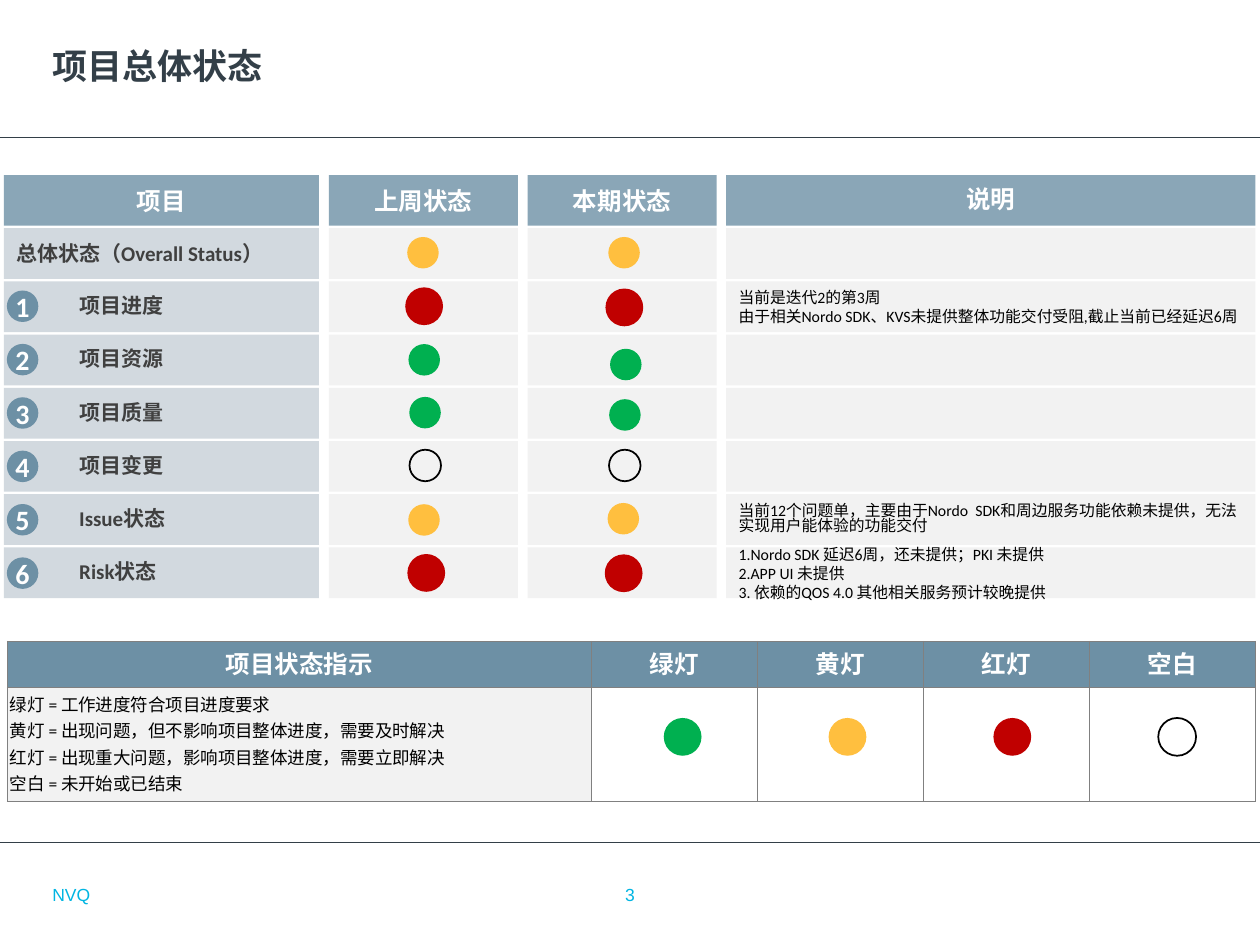
from pptx import Presentation
from pptx.dml.color import RGBColor
from pptx.enum.shapes import MSO_CONNECTOR, MSO_SHAPE as SHAPE
from pptx.enum.text import MSO_ANCHOR, PP_ALIGN as ALIGN
from pptx.oxml import parse_xml
from pptx.oxml.ns import nsdecls
from pptx.util import Pt

STEEL = RGBColor(0x6D, 0x90, 0xA5)
PALE_STEEL = RGBColor(0xD2, 0xD9, 0xDF)
PALE_GRAY = RGBColor(0xF2, 0xF2, 0xF2)
SLATE = RGBColor(0x33, 0x3F, 0x48)
DARK_GRAY = RGBColor(0x40, 0x40, 0x40)
CYAN = RGBColor(0x00, 0xB5, 0xE2)
WHITE = RGBColor(0xFF, 0xFF, 0xFF)
BLACK = RGBColor(0x00, 0x00, 0x00)
GREEN = RGBColor(0x00, 0xB0, 0x50)
YELLOW = RGBColor(0xFF, 0xBF, 0x3F)
RED = RGBColor(0xC0, 0x00, 0x00)

deck = Presentation()
deck.slide_width, deck.slide_height = Pt(720), Pt(540)
slide = deck.slides.add_slide(deck.slide_layouts[6])
shapes = slide.shapes


def add_block(kind, left, top, width, height, fill, outline=None):
    block = shapes.add_shape(kind, Pt(left), Pt(top), Pt(width), Pt(height))
    block.shadow.inherit = False
    if kind == SHAPE.ROUNDED_RECTANGLE:
        block.adjustments[0] = 0
    if fill is None:
        block.fill.background()
    else:
        block.fill.solid()
        block.fill.fore_color.rgb = fill
    if outline is None:
        block.line.fill.background()
    else:
        block.line.color.rgb = outline
        block.line.width = Pt(1)
    return block


def write(frame, lines, size, color, bold=False, align=ALIGN.LEFT,
          font="Calibri", spacing=None, before=None):
    frame.word_wrap = True
    frame.vertical_anchor = MSO_ANCHOR.MIDDLE
    for i, line in enumerate(lines):
        paragraph = frame.add_paragraph() if i else frame.paragraphs[0]
        paragraph.alignment = align
        if spacing:
            paragraph.line_spacing = spacing
        if before:
            paragraph.space_before = Pt(before)
        run = paragraph.add_run()
        run.text = line
        run.font.size = Pt(size)
        run.font.name = font
        run.font.bold = bold
        run.font.color.rgb = color


for rule_y in (78.3, 481.5):
    rule = shapes.add_connector(MSO_CONNECTOR.STRAIGHT, 0, Pt(rule_y), Pt(720), Pt(rule_y))
    rule.line.color.rgb = SLATE
    rule.line.width = Pt(0.25)
    rule._element.spPr.append(parse_xml(f"<a:effectLst {nsdecls('a')}/>"))

for words, left, top, width, height, size, color, bold, align in (
    ("项目总体状态", 29.8, 15.3, 576, 44.6, 20, SLATE, True, ALIGN.LEFT),
    ("NVQ", 30, 500, 221, 22.5, 10, CYAN, False, ALIGN.LEFT),
    ("3", 276, 500, 168, 22.5, 10, CYAN, False, ALIGN.CENTER),
):
    frame = shapes.add_textbox(Pt(left), Pt(top), Pt(width), Pt(height)).text_frame
    frame.margin_left = frame.margin_right = frame.margin_top = frame.margin_bottom = 0
    write(frame, [words], size, color, bold, align, "Arial")

HEADER_TOP, ROW_PITCH, ROW_HEIGHT = 100, 30.4, 29
columns = [("项目", 2.2, 180), ("上周状态", 188, 108),
           ("本期状态", 301.5, 108), ("说明", 415, 302.4)]
for heading, left, width in columns:
    header = add_block(SHAPE.RECTANGLE, left, HEADER_TOP, width, ROW_HEIGHT, STEEL)
    tint = header._element.spPr.find(".//" + "{http://schemas.openxmlformats.org/drawingml/2006/main}srgbClr")
    tint.append(parse_xml(f'<a:alpha {nsdecls("a")} val="80000"/>'))
    compact = heading == "说明"
    write(header.text_frame, [heading], 14, WHITE, True, ALIGN.CENTER,
          spacing=0.9 if compact else None, before=2.8 if compact else None)

status_rows = [
    ("总体状态（Overall Status）", YELLOW, (241.7, 144.4), (356.6, 144.4), []),
    ("项目进度", RED, (242.4, 175), (356.8, 175.7),
     ["当前是迭代2的第3周",
      "由于相关Nordo SDK、KVS未提供整体功能交付受阻,截止当前已经延迟6周"]),
    ("项目资源", GREEN, (242.4, 205.6), (357.6, 208.3), []),
    ("项目质量", GREEN, (242.9, 235.8), (357.1, 237.1), []),
    ("项目变更", None, (243, 266), (357, 266), []),
    ("Issue状态", YELLOW, (242.3, 297.1), (356.2, 296.4),
     ["当前12个问题单，主要由于Nordo  SDK和周边服务功能依赖未提供，无法实现用户能体验的功能交付"]),
    ("Risk状态", RED, (243.6, 327.4), (356.4, 327.6),
     ["1.Nordo SDK 延迟6周，还未提供；PKI 未提供", "2.APP UI 未提供",
      "3. 依赖的QOS 4.0 其他相关服务预计较晚提供"]),
]
for number, (topic, light, last_week, this_week, remarks) in enumerate(status_rows):
    top = HEADER_TOP + (number + 1) * ROW_PITCH
    cells = [add_block(SHAPE.ROUNDED_RECTANGLE, left, top, width, ROW_HEIGHT,
                       PALE_GRAY if i else PALE_STEEL)
             for i, (_, left, width) in enumerate(columns)]
    topic_frame = cells[0].text_frame
    if number:
        write(topic_frame, [topic], 12, DARK_GRAY, True, spacing=0.9, before=2.4)
        topic_frame.paragraphs[0].level = 1
        topic_frame.paragraphs[0]._p.get_or_add_pPr().set("marL", str(Pt(36)))
        badge = add_block(SHAPE.OVAL, 3.9, 166 + (number - 1) * 30.5, 18, 18, STEEL)
        write(badge.text_frame, [str(number)], 16, WHITE, True, ALIGN.CENTER)
        badge.text_frame.word_wrap = False
        badge.text_frame.margin_left = badge.text_frame.margin_right = Pt(3.6)
        badge.text_frame.margin_top = badge.text_frame.margin_bottom = Pt(2.9)
    else:
        write(topic_frame, [topic], 12, DARK_GRAY, True)
    write(cells[3].text_frame, remarks, 9, BLACK,
          spacing=0.8 if topic == "Issue状态" else None)
    diameter = 21.6 if light == RED else 18
    for x, y in (last_week, this_week):
        add_block(SHAPE.OVAL, x - diameter / 2, y - diameter / 2, diameter, diameter,
                  light, None if light else BLACK)

LEGEND_LEFT, LEGEND_TOP, MEANING_WIDTH, LIGHT_WIDTH = 4.2, 366.5, 333.8, 94.9
legend_heads = ["项目状态指示", "绿灯", "黄灯", "红灯", "空白"]
meanings = ["绿灯 = 工作进度符合项目进度要求",
            "黄灯 = 出现问题，但不影响项目整体进度，需要及时解决",
            "红灯 = 出现重大问题，影响项目整体进度，需要立即解决",
            "空白 = 未开始或已结束"]
legend = shapes.add_table(2, 5, Pt(LEGEND_LEFT), Pt(LEGEND_TOP),
                          Pt(MEANING_WIDTH + 4 * LIGHT_WIDTH), Pt(91.2)).table
legend.rows[0].height, legend.rows[1].height = Pt(26.2), Pt(65)
for c, heading in enumerate(legend_heads):
    legend.columns[c].width = Pt(LIGHT_WIDTH if c else MEANING_WIDTH)
    head, body = legend.cell(0, c), legend.cell(1, c)
    for cell, fill in ((head, STEEL), (body, WHITE if c else PALE_GRAY)):
        cell.vertical_anchor = MSO_ANCHOR.MIDDLE
        properties = cell._tc.get_or_add_tcPr()
        for side in ("lnL", "lnR", "lnT", "lnB"):
            properties.append(parse_xml(
                f'<a:{side} {nsdecls("a")} w="{Pt(0.5)}"><a:solidFill>'
                f'<a:srgbClr val="808080"/></a:solidFill></a:{side}>'))
        cell.fill.solid()
        cell.fill.fore_color.rgb = fill
    write(head.text_frame, [heading], 14, WHITE, True, ALIGN.CENTER, spacing=0.9, before=2.8)
    head.vertical_anchor = MSO_ANCHOR.MIDDLE
    if c == 0:
        head.margin_left = head.margin_right = Pt(0.7)
        body.margin_left = Pt(1.4)
        write(body.text_frame, meanings, 10, BLACK, spacing=0.9, before=2)
        body.vertical_anchor = MSO_ANCHOR.MIDDLE

for i, light in enumerate((GREEN, YELLOW, RED, WHITE)):
    add_block(SHAPE.OVAL, 379.3 + i * 94.2, 410.3, 21.6, 21.6, light,
              BLACK if light == WHITE else None)

deck.save("out.pptx")
